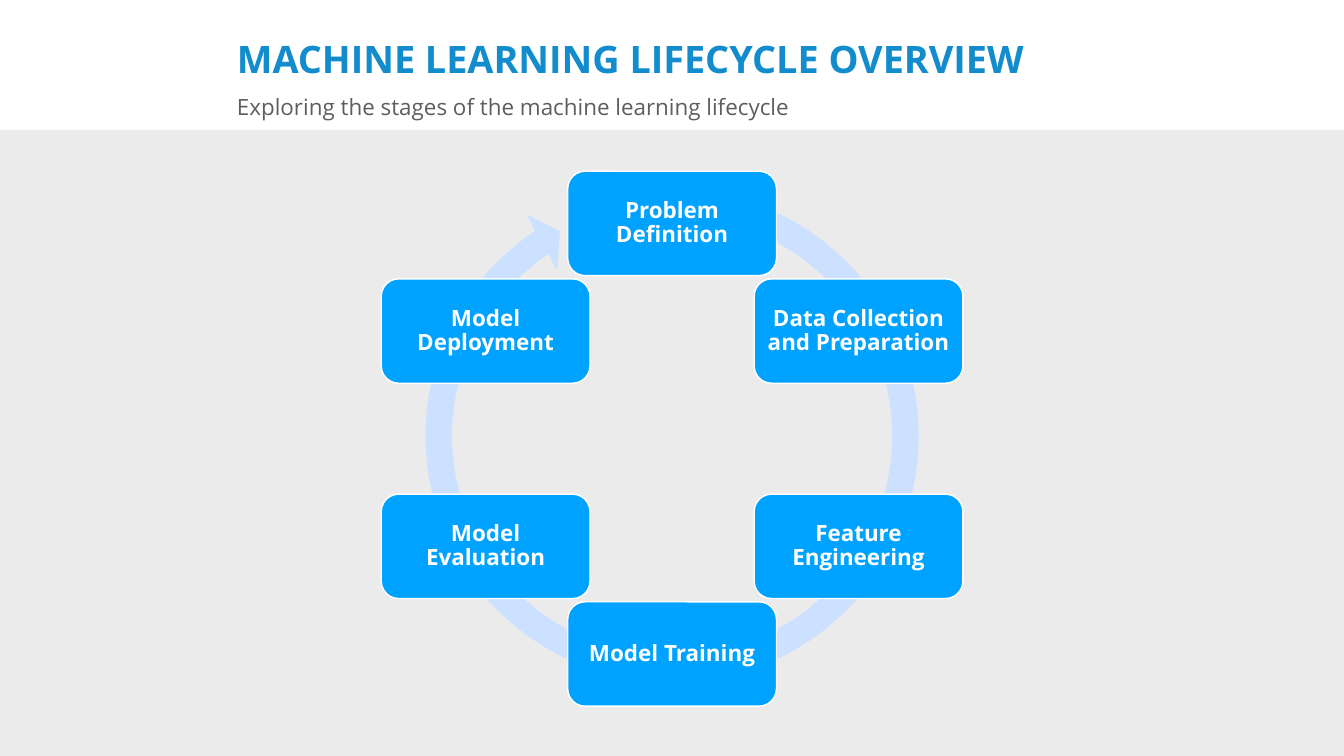
from dataclasses import dataclass
from math import cos, radians, sin
from typing import Any

from pptx import Presentation
from pptx.dml.color import RGBColor
from pptx.enum.shapes import MSO_SHAPE
from pptx.enum.text import MSO_ANCHOR, PP_ALIGN
from pptx.util import Cm, Pt

RECT, ROUND_RECT = MSO_SHAPE.RECTANGLE, MSO_SHAPE.ROUNDED_RECTANGLE
CIRCULAR_ARROW = MSO_SHAPE.CIRCULAR_ARROW
TOP, MIDDLE = MSO_ANCHOR.TOP, MSO_ANCHOR.MIDDLE
LEFT, CENTER = PP_ALIGN.LEFT, PP_ALIGN.CENTER

COLORS = {
    "band": "EBEBEB",
    "title": "128CCD",
    "subtitle": "5E5E5E",
    "ring": "CCE0FF",
    "stage": "00A2FF",
    "white": "FFFFFF",
}
STAGES = [
    "Problem Definition",
    "Data Collection and Preparation",
    "Feature Engineering",
    "Model Training",
    "Model Evaluation",
    "Model Deployment",
]
WIDTH, HEIGHT = 67.73, 38.1
CENTER_X, CENTER_Y, RADIUS = 33.87, 22.11, 10.85
STAGE_W, STAGE_H = 10.52, 5.26
RING_SIZE, RING_Y = 26.72, 21.97


@dataclass
class Deck:
    """Draws styled elements on the current slide."""

    slide: Any
    font: str = "Open Sans"

    def shape(self, kind, x, y, w, h, fill, line=None):
        sp = self.slide.shapes.add_shape(kind, Cm(x), Cm(y), Cm(w), Cm(h))
        sp.shadow.inherit = False
        sp.fill.solid()
        sp.fill.fore_color.rgb = RGBColor.from_string(COLORS[fill])
        if line:
            sp.line.color.rgb = RGBColor.from_string(COLORS[line])
            sp.line.width = Pt(2)
        else:
            sp.line.fill.background()
        return sp

    def label(self, sp, text, size, color, bold=False, align=LEFT,
              anchor=MIDDLE, inset=0.15, spacing=1.0):
        tf = sp.text_frame
        tf.word_wrap = True
        tf.vertical_anchor = anchor
        tf.margin_left = tf.margin_right = Cm(inset)
        tf.margin_top = tf.margin_bottom = Cm(inset)
        p = tf.paragraphs[0]
        p.alignment = align
        p.line_spacing = spacing
        r = p.add_run()
        r.text = text
        r.font.name = self.font
        r.font.size = Pt(size)
        r.font.bold = bold
        r.font.color.rgb = RGBColor.from_string(COLORS[color])

    def text(self, x, y, w, h, text, size, color, **style):
        sp = self.slide.shapes.add_textbox(Cm(x), Cm(y), Cm(w), Cm(h))
        self.label(sp, text, size, color, **style)

    def ring(self, x, y, size, adjustments):
        sp = self.shape(CIRCULAR_ARROW, x - size / 2, y - size / 2, size, size, "ring")
        for i, value in enumerate(adjustments):
            sp.adjustments[i] = value

    def stage(self, x, y, name):
        sp = self.shape(ROUND_RECT, x - STAGE_W / 2, y - STAGE_H / 2,
                        STAGE_W, STAGE_H, "stage", "white")
        self.label(sp, name, 32, "white", bold=True, align=CENTER,
                   inset=0.33, spacing=0.9)


def main():
    prs = Presentation()
    prs.slide_width, prs.slide_height = Cm(WIDTH), Cm(HEIGHT)
    deck = Deck(prs.slides.add_slide(prs.slide_layouts[6]))

    deck.shape(RECT, 0, 6.55, WIDTH, HEIGHT - 6.55, "band")
    deck.text(11.79, 2.11, 45.77, 2.44, "MACHINE LEARNING LIFECYCLE OVERVIEW",
              54, "title", bold=True, anchor=TOP, spacing=0.8)
    deck.text(11.79, 4.55, 28.4, 1.65,
              "Exploring the stages of the machine learning lifecycle", 32, "subtitle")

    deck.ring(CENTER_X, RING_Y, RING_SIZE, (0.05, 3.13, 141.64, 171.64, 0.06))
    for i, name in enumerate(STAGES):
        angle = radians(i * 360 / len(STAGES))
        deck.stage(CENTER_X + RADIUS * sin(angle), CENTER_Y - RADIUS * cos(angle), name)

    prs.save("out.pptx")


if __name__ == "__main__":
    main()
